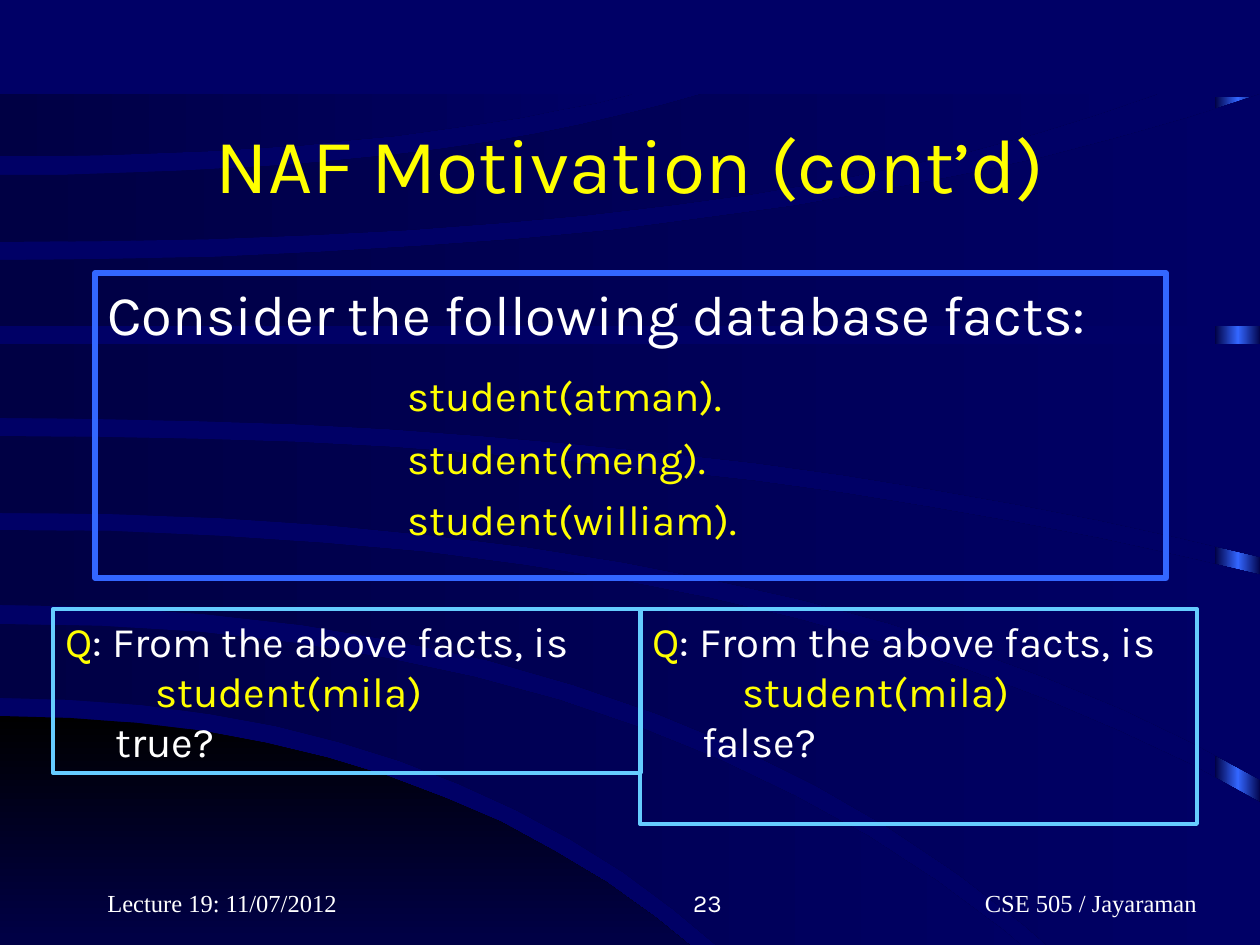
from copy import deepcopy

from pptx import Presentation
from pptx.dml.color import RGBColor
from pptx.enum.shapes import MSO_SHAPE
from pptx.enum.text import MSO_ANCHOR as ANCHOR, MSO_AUTO_SIZE, PP_ALIGN as ALIGN
from pptx.oxml.ns import qn
from pptx.util import Pt

PX = 914400 / 126
BLACK = RGBColor(0x00, 0x00, 0x00)
NIGHT = RGBColor(0x00, 0x00, 0x44)
NAVY = RGBColor(0x00, 0x00, 0x66)
BLUE = RGBColor(0x33, 0x66, 0xFF)
SKY = RGBColor(0x66, 0xCC, 0xFF)
YELLOW = RGBColor(0xFF, 0xFF, 0x00)
WHITE = RGBColor(0xFF, 0xFF, 0xFF)
STEPS = 14

# Upper and lower edge of each band, level at the left and then bending:
# start y, control x, end x, end y
HILL = (716, 494, 792, 1042), (1042, 396, 792, 1042)
BANDS = [
    ((624, 719, 1126, 1040), (698, 513, 810, 1040)),
    ((530, 788, 1261, 803), (605, 742, 1147, 1040)),
    ((436, 700, 1261, 575), (513, 798, 1261, 780)),
    ((344, 630, 1261, 344), (418, 702, 1261, 557)),
    ((260, 780, 1261, 94), (326, 630, 1261, 326)),
    ((175, 433, 702, 94), (242, 766, 1157, 94)),
    ((94, 316, 633, 94), (156, 385, 633, 94)),
]


def paint_gradient(sp, colors, angle=0):
    """Fill a shape with evenly spaced colour stops, without line or shadow."""
    sp.shadow.inherit = False
    sp.line.fill.background()
    sp.fill.gradient()
    sp.fill.gradient_angle = angle
    stops = sp._element.spPr.find(".//" + qn("a:gsLst"))
    for _ in colors[2:]:
        stops.append(deepcopy(stops[-1]))
    for i, (stop, color) in enumerate(zip(sp.fill.gradient_stops, colors)):
        stop.position = i / (len(colors) - 1)
        stop.color.rgb = color


def add_run(p, text, size, color, font="Karla"):
    r = p.add_run()
    r.text = text
    r.font.size = Pt(size)
    r.font.name = font
    r.font.color.rgb = color


prs = Presentation()
prs.slide_width, prs.slide_height = round(1260 * PX), round(945 * PX)
s = prs.slides.add_slide(prs.slide_layouts[1])
s.background.fill.solid()
s.background.fill.fore_color.rgb = NAVY
title, body = s.placeholders

# Backdrop: bright strip on the right, hill and curved bands over it
strip = s.shapes.add_shape(
    MSO_SHAPE.RECTANGLE, *[round(v * PX) for v in (1215, 97, 46, 945)])
paint_gradient(strip, [NIGHT, BLUE, NIGHT])
outlines = [(HILL, [BLACK, NAVY], 270)]
outlines += [(band, [NIGHT, NAVY], 0) for band in BANDS]
for edges, colors, angle in outlines:
    upper, lower = [
        [(2 * t * (1 - t) * cx + t * t * x, y0 + t * t * (y - y0))
         for t in (i / STEPS for i in range(STEPS + 1))]
        for y0, cx, x, y in edges]
    corner = tuple(map(max, upper[-1], lower[-1]))
    points = upper + [corner] + lower[::-1]
    fb = s.shapes.build_freeform(*points[0], scale=PX)
    fb.add_line_segments(points[1:], close=True)
    paint_gradient(fb.convert_to_shape(), colors, angle)

# Title and database facts, brought in front of the backdrop
for ph, box in [(title, (95, 84, 1071, 158)), (body, (95, 273, 1071, 305))]:
    s.shapes._spTree.append(ph._element)
    ph.left, ph.top, ph.width, ph.height = [round(v * PX) for v in box]
    ph.text_frame.auto_size = MSO_AUTO_SIZE.NONE
title.text_frame.vertical_anchor = ANCHOR.MIDDLE
p = title.text_frame.paragraphs[0]
p.alignment = ALIGN.CENTER
add_run(p, "NAF Motivation (cont’d)", 44, YELLOW)

body.line.color.rgb = BLUE
body.line.width = Pt(3)
tf = body.text_frame
facts = [("Consider the following database facts:", 32, WHITE, 0, 0),
         ("student(atman).", 24, YELLOW, 300, 13),
         ("student(meng).", 24, YELLOW, 300, 7.5),
         ("student(william).", 24, YELLOW, 300, 6)]
for i, (text, size, color, margin, before) in enumerate(facts):
    p = tf.add_paragraph() if i else tf.paragraphs[0]
    pPr = p._p.get_or_add_pPr()
    pPr.set("marL", str(round(margin * PX)))
    pPr.set("indent", "0")
    pPr.append(pPr.makeelement(qn("a:buNone"), {}))
    p.space_before = Pt(before)
    add_run(p, text, size, color)

# Question boxes
for box, answer in [((53, 609, 588, 164), "true?"),
                    ((640, 609, 557, 215), "false?")]:
    sp = s.shapes.add_shape(MSO_SHAPE.RECTANGLE, *[round(v * PX) for v in box])
    sp.shadow.inherit = False
    sp.fill.background()
    sp.line.color.rgb = SKY
    sp.line.width = Pt(2.25)
    tf = sp.text_frame
    tf.word_wrap = True
    tf.vertical_anchor = ANCHOR.TOP
    lines = [(0, [("Q", YELLOW), (": From the above facts, is", WHITE)]),
             (90, [("student(mila)", YELLOW)]),
             (50, [(answer, WHITE)])]
    for i, (margin, runs) in enumerate(lines):
        p = tf.add_paragraph() if i else tf.paragraphs[0]
        p.alignment = ALIGN.LEFT
        p._p.get_or_add_pPr().set("marL", str(round(margin * PX)))
        for text, color in runs:
            add_run(p, text, 24, color)

# Footer
footer = [(95, 262, 13, "Lecture 19: 11/07/2012", ALIGN.LEFT, "Times New Roman"),
          (473, 262, 13, "23", ALIGN.RIGHT, "Karla"),
          (829, 400, 32, "CSE 505 / Jayaraman", ALIGN.RIGHT, "Times New Roman")]
for left, width, inset, text, align, font in footer:
    tb = s.shapes.add_textbox(*[round(v * PX) for v in (left, 861, width, 63)])
    tf = tb.text_frame
    tf.word_wrap = True
    tf.vertical_anchor = ANCHOR.BOTTOM
    tf.margin_right = round(inset * PX)
    p = tf.paragraphs[0]
    p.alignment = align
    add_run(p, text, 14, WHITE, font)

prs.save("out.pptx")
